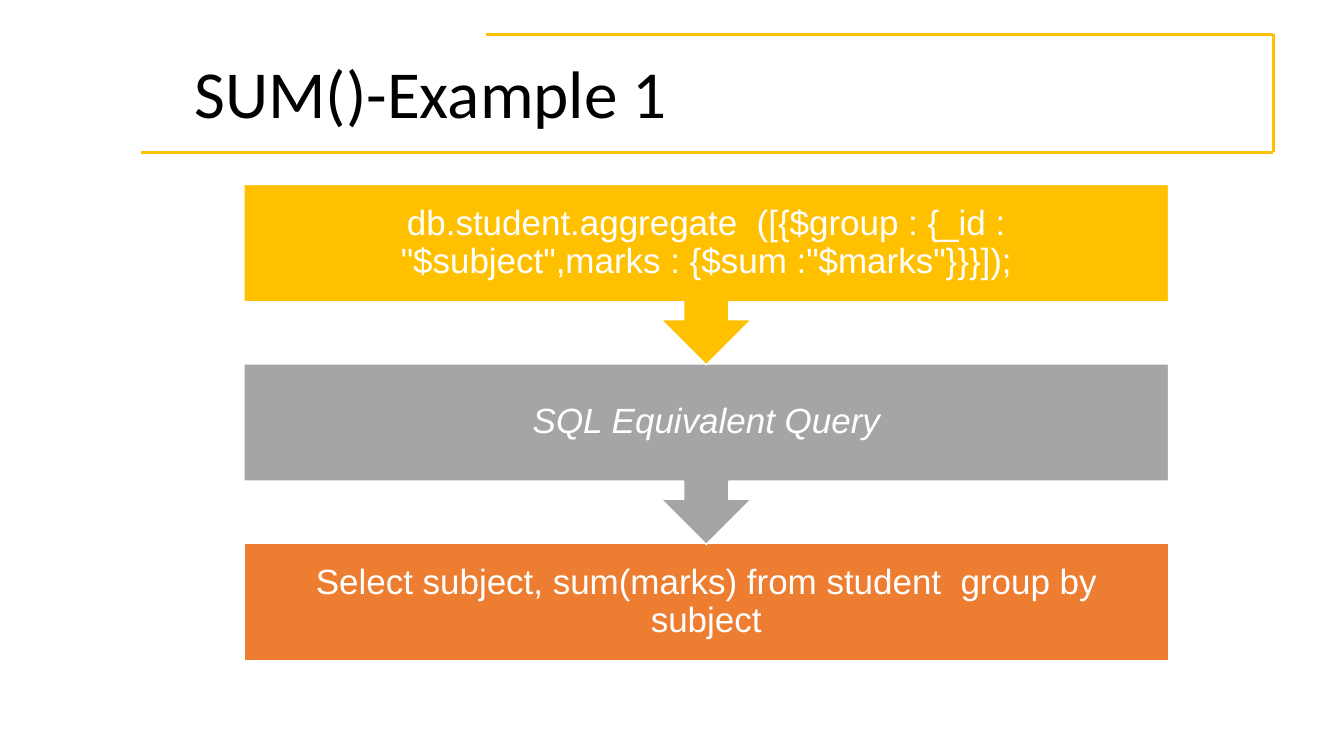
import itertools
from dataclasses import dataclass

import pptx
import pptx.dml.color
import pptx.enum.shapes
import pptx.enum.text
import pptx.oxml.ns
import pptx.util
from lxml import etree

PX = 9144  # EMU per px, 100 px to the inch
SHAPES = pptx.enum.shapes.MSO_SHAPE


@dataclass(frozen=True)
class Theme:
    frame: str = "FFC100"
    query: str = "FFC000"
    label: str = "A5A5A5"
    sql: str = "ED7D31"
    white: str = "FFFFFF"
    black: str = "000000"
    title_font: str = "Calibri"
    body_font: str = "Arial"
    title_size: int = 48
    body_size: int = 25
    frame_width: int = 2
    outline_width: int = 1


@dataclass(frozen=True)
class Step:
    text: str
    fill: str
    italic: bool = False


THEME = Theme()
FRAME_CORNERS = [(482, 34), (1263, 34), (1263, 151), (140, 151)]
STEPS = [
    Step('db.student.aggregate  ([{$group : {_id : "$subject",marks : {$sum :"$marks"}}}]);', THEME.query),
    Step("SQL Equivalent Query", THEME.label, italic=True),
    Step("Select subject, sum(marks) from student  group by subject", THEME.sql),
]
STEP_LEFT, STEP_TOP, STEP_WIDTH, STEP_PITCH = 242, 183, 917, 178
BOX_HEIGHT, CALLOUT_HEIGHT, BOX_INSET = 117, 179, 19


def px(length: int) -> pptx.util.Emu:
    return pptx.util.Emu(length * PX)


def rgb(colour: str) -> pptx.dml.color.RGBColor:
    return pptx.dml.color.RGBColor.from_string(colour)


def set_insets(frame, left: int, top: int, right: int, bottom: int) -> None:
    frame.margin_left, frame.margin_top = px(left), px(top)
    frame.margin_right, frame.margin_bottom = px(right), px(bottom)


def style_font(font, name: str, size: int, colour: str) -> None:
    font.name = name
    font.size = pptx.util.Pt(size)
    font.color.rgb = rgb(colour)


def draw_frame(page) -> None:
    for start, end in itertools.pairwise(FRAME_CORNERS):
        line = page.shapes.add_connector(
            pptx.enum.shapes.MSO_CONNECTOR.STRAIGHT, *map(px, start + end))
        line.line.color.rgb = rgb(THEME.frame)
        line.line.width = pptx.util.Pt(THEME.frame_width)
        etree.SubElement(line._element.spPr, pptx.oxml.ns.qn("a:effectLst"))


def draw_title(page, text: str) -> None:
    box = page.shapes.add_textbox(px(192), px(49), px(485), px(83))
    frame = box.text_frame
    frame.word_wrap = True
    frame.vertical_anchor = pptx.enum.text.MSO_ANCHOR.MIDDLE
    set_insets(frame, 1, 1, 0, 0)
    frame.text = text
    style_font(frame.paragraphs[0].runs[0].font, THEME.title_font, THEME.title_size, THEME.black)


def draw_step(page, step: Step, top: int, is_last: bool) -> None:
    kind = SHAPES.RECTANGLE if is_last else SHAPES.DOWN_ARROW_CALLOUT
    height = BOX_HEIGHT if is_last else CALLOUT_HEIGHT
    box = page.shapes.add_shape(kind, px(STEP_LEFT), px(top), px(STEP_WIDTH), px(height))
    if not is_last:
        for index, value in enumerate((0.25, 0.25, 0.25, 0.65)):
            box.adjustments[index] = value
    box.shadow.inherit = False
    box.fill.solid()
    box.fill.fore_color.rgb = rgb(step.fill)
    box.line.color.rgb = rgb(THEME.white)
    box.line.width = pptx.util.Pt(THEME.outline_width)

    frame = box.text_frame
    frame.word_wrap = True
    frame.vertical_anchor = pptx.enum.text.MSO_ANCHOR.MIDDLE
    set_insets(frame, *[BOX_INSET] * 4)
    frame.text = step.text
    para = frame.paragraphs[0]
    para.alignment = pptx.enum.text.PP_ALIGN.CENTER
    para.line_spacing = 0.9
    span = para.runs[0]
    style_font(span.font, THEME.body_font, THEME.body_size, THEME.white)
    if step.italic:
        span.font.italic = True


def main() -> None:
    deck = pptx.Presentation()
    deck.slide_width, deck.slide_height = px(1333), px(750)
    page = deck.slides.add_slide(deck.slide_layouts[6])

    # Title inside its open frame
    draw_frame(page)
    draw_title(page, "SUM()-Example 1")

    # Process steps, bottom first so each arrow tip lies over the next box
    last = len(STEPS) - 1
    for index, step in reversed(list(enumerate(STEPS))):
        draw_step(page, step, STEP_TOP + index * STEP_PITCH, index == last)

    deck.save("out.pptx")


if __name__ == "__main__":
    main()
